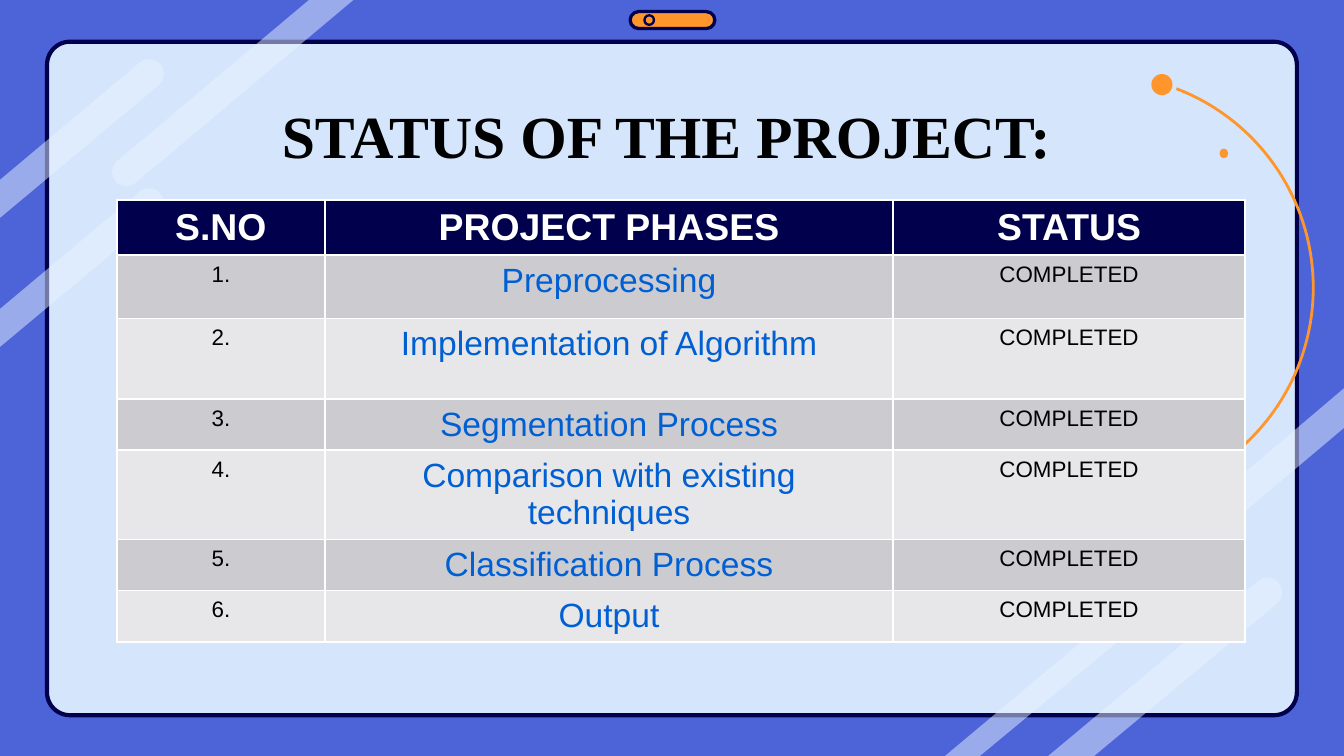
"""Build the project status slide with its decorated panel and phase table."""
from math import cos, radians, sin

from lxml.etree import SubElement
from pptx import Presentation
from pptx.dml.color import RGBColor
from pptx.enum.shapes import MSO_SHAPE
from pptx.enum.text import MSO_ANCHOR, PP_ALIGN
from pptx.oxml.ns import qn
from pptx.util import Cm, Pt

BLUE = RGBColor(0x4C, 0x64, 0xD8)
PALE = RGBColor(0xD5, 0xE6, 0xFC)
GLARE = RGBColor(0xE9, 0xF3, 0xFF)
NAVY = RGBColor(0x00, 0x00, 0x4D)
ORANGE = RGBColor(0xFF, 0x95, 0x2B)
BLACK = RGBColor(0x00, 0x00, 0x00)
WHITE = RGBColor(0xFF, 0xFF, 0xFF)
PHASE_BLUE = RGBColor(0x00, 0x5F, 0xD3)
DARK_BAND = RGBColor(0xCC, 0xCC, 0xD0)
LIGHT_BAND = RGBColor(0xE7, 0xE7, 0xE9)


def paint(shape, fill=None, line=None, width=1):
    shape.shadow.inherit = False
    if fill is None:
        shape.fill.background()
    else:
        shape.fill.solid()
        shape.fill.fore_color.rgb = fill
    if line is None:
        shape.line.fill.background()
    else:
        shape.line.color.rgb = line
        shape.line.width = Pt(width)


def write(frame, text, color, formats):
    paragraph = frame.paragraphs[0]
    paragraph.alignment = PP_ALIGN.CENTER
    run = paragraph.add_run()
    run.text = text
    run.font.color.rgb = color
    for name, value in formats.items():
        setattr(run.font, name, value)


prs = Presentation()
prs.slide_width, prs.slide_height = Cm(25.4), Cm(14.29)
slide = prs.slides.add_slide(prs.slide_layouts[5])
slide.background.fill.solid()
slide.background.fill.fore_color.rgb = BLUE
shapes = slide.shapes

panel = shapes.add_shape(MSO_SHAPE.ROUNDED_RECTANGLE, Cm(0.89), Cm(0.79), Cm(23.62), Cm(12.73))
panel.adjustments[0] = 0.034
paint(panel, PALE, NAVY, 2.25)

stripes = [
    ((19.81, 14.29), (20.68, 14.29), (23.95, 11.2), 0.28, -130),
    ((17.86, 14.29), (18.52, 14.29), (21.06, 11.9), 0.22, -130),
    ((6.68, 0), (5.84, 0), (2.39, 3.25), 0.27, 50),
    ((0, 3.4), (0, 4.12), (2.82, 1.4), 0.28, -130),
    ((0, 5.84), (0, 6.56), (2.82, 3.84), 0.28, -130),
    ((25.4, 8.09), (25.4, 7.34), (22.5, 10.17), 0.28, 50),
]
for first, last, (tip_x, tip_y), radius, start in stripes:
    angles = [radians(start + step) for step in range(0, 181, 10)]
    tip = [(tip_x + radius * cos(a), tip_y + radius * sin(a)) for a in angles]
    builder = shapes.build_freeform(Cm(first[0]), Cm(first[1]))
    builder.add_line_segments([(Cm(x), Cm(y)) for x, y in tip + [last]])
    stripe = builder.convert_to_shape()
    paint(stripe, GLARE)
    glare_color = stripe._element.spPr.find(qn("a:solidFill"))[0]
    SubElement(glare_color, qn("a:alpha"), val="50000")

badge = shapes.add_shape(MSO_SHAPE.ROUNDED_RECTANGLE, Cm(11.91), Cm(0.22), Cm(1.6), Cm(0.32))
badge.adjustments[0] = 0.5
paint(badge, ORANGE, NAVY, 1.75)
lens = shapes.add_shape(MSO_SHAPE.OVAL, Cm(12.18), Cm(0.29), Cm(0.18), Cm(0.18))
paint(lens, None, NAVY, 1.25)

orbit = shapes.add_shape(MSO_SHAPE.ARC, Cm(16.76), Cm(1.41), Cm(8.06), Cm(8.06))
orbit.adjustments[0] = 291 * 0.6
orbit.adjustments[1] = 49 * 0.6
paint(orbit, None, ORANGE, 1.5)
for left, top, width, height in [(21.76, 1.4, 0.4, 0.4), (23.05, 2.81, 0.16, 0.18)]:
    planet = shapes.add_shape(MSO_SHAPE.OVAL, Cm(left), Cm(top), Cm(width), Cm(height))
    paint(planet, ORANGE)

title = shapes.title
shapes._spTree.append(title._element)
title_box = {"left": Cm(4.67), "top": Cm(1.65), "width": Cm(15.85), "height": Cm(1.78)}
for name, value in title_box.items():
    setattr(title, name, value)
title.text_frame.vertical_anchor = MSO_ANCHOR.MIDDLE
write(title.text_frame, "STATUS OF THE PROJECT:", BLACK,
      {"name": "Times New Roman", "size": Pt(32), "bold": True})

headings = ["S.NO", "PROJECT PHASES", "STATUS"]
phases = ["Preprocessing", "Implementation of Algorithm", "Segmentation Process",
          "Comparison with existing techniques", "Classification Process", "Output"]
rows = [headings] + [[f"{n}.", phase, "COMPLETED"] for n, phase in enumerate(phases, 1)]
column_widths = [3.93, 10.74, 6.65]
row_heights = [1.04, 1.2, 1.52, 0.96, 1.69, 0.96, 0.96]

status_table = shapes.add_table(len(rows), len(headings), Cm(2.21), Cm(3.78),
                                Cm(sum(column_widths)), Cm(sum(row_heights))).table
for column, width in zip(status_table.columns, column_widths):
    column.width = Cm(width)
for row, height in zip(status_table.rows, row_heights):
    row.height = Cm(height)

for r, row in enumerate(rows):
    for c, text in enumerate(row):
        if r == 0:
            band, color, size = NAVY, WHITE, 20
        else:
            band = DARK_BAND if r % 2 else LIGHT_BAND
            color, size = (PHASE_BLUE, 18) if c == 1 else (BLACK, 12)
        cell = status_table.cell(r, c)
        cell.fill.solid()
        cell.fill.fore_color.rgb = band
        write(cell.text_frame, text, color, {"name": "Arial", "size": Pt(size), "bold": r == 0})

prs.save("out.pptx")
